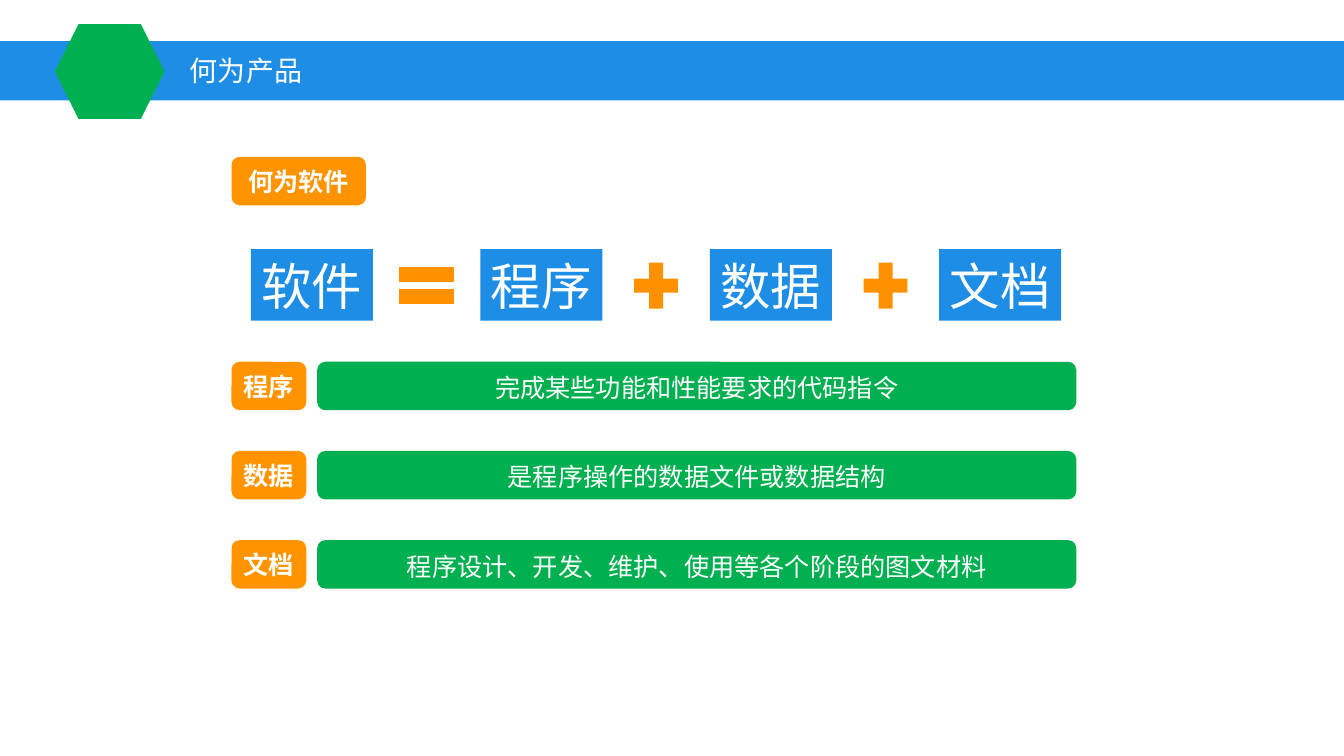
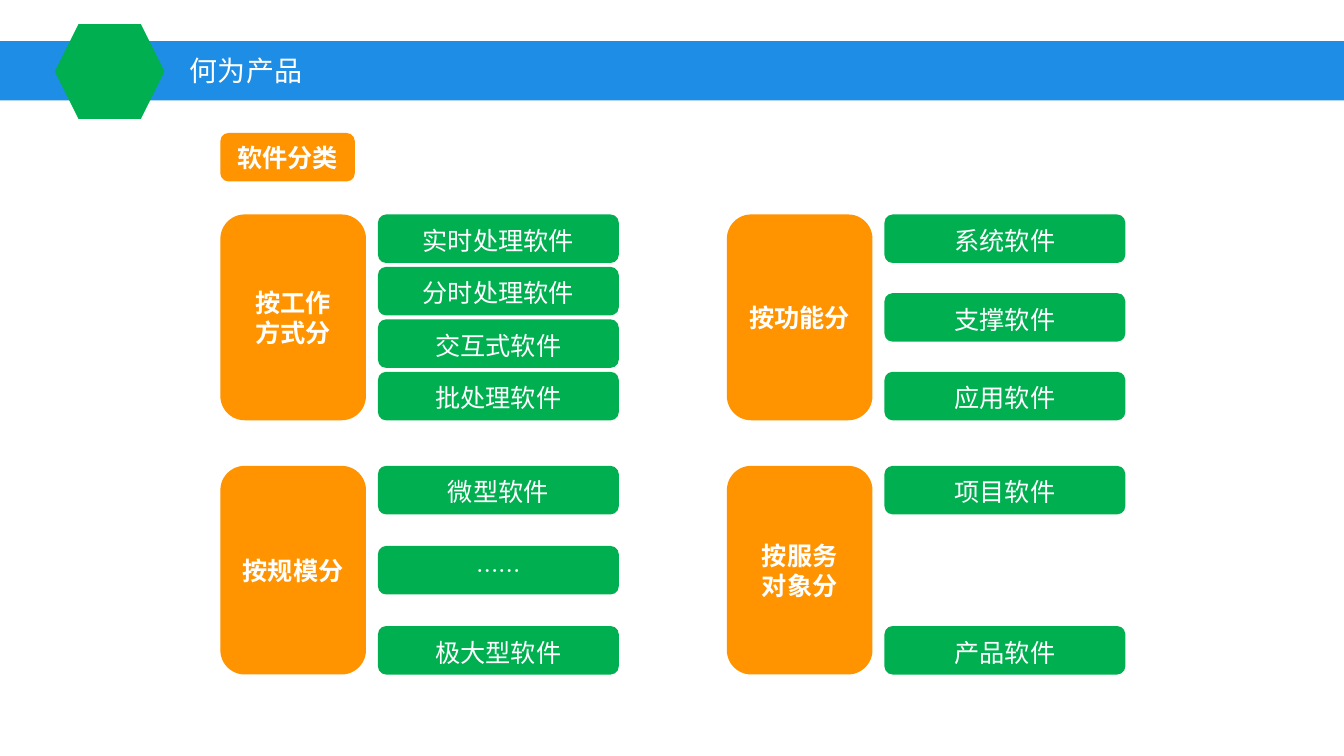
"""Build two slides that explain what software is and how it is classified."""
from lxml import etree
from pptx import Presentation
from pptx.dml.color import RGBColor
from pptx.enum.shapes import MSO_SHAPE
from pptx.enum.text import MSO_ANCHOR, PP_ALIGN
from pptx.oxml.ns import qn
from pptx.util import Pt

RECT = MSO_SHAPE.RECTANGLE
ROUNDED = MSO_SHAPE.ROUNDED_RECTANGLE
HEXAGON = MSO_SHAPE.HEXAGON
EQUAL = MSO_SHAPE.MATH_EQUAL
PLUS = MSO_SHAPE.MATH_PLUS
TOP, MIDDLE = MSO_ANCHOR.TOP, MSO_ANCHOR.MIDDLE
LEFT, CENTER = PP_ALIGN.LEFT, PP_ALIGN.CENTER

BLUE = RGBColor(0x1D, 0x8D, 0xE5)
GREEN = RGBColor(0x00, 0xB0, 0x50)
ORANGE = RGBColor(0xFF, 0x93, 0x00)
OPERATOR_ORANGE = RGBColor(0xFF, 0x91, 0x00)
WHITE = RGBColor(0xFF, 0xFF, 0xFF)
FONT = "Noto Sans CJK SC"

SLIDE_W, SLIDE_H = 960, 540
BAR_H = 34.6
HEADING_W = 96

TERMS = ["软件", "程序", "数据", "文档"]
OPERATORS = [(EQUAL, 53.3), (PLUS, 42.5), (PLUS, 42.5)]
DEFINITIONS = [
    ("程序", "完成某些功能和性能要求的代码指令"),
    ("数据", "是程序操作的数据文件或数据结构"),
    ("文档", "程序设计、开发、维护、使用等各个阶段的图文材料"),
]
CATEGORY_ROWS = [
    (153.2, 147, [
        ("按工作\n方式分", ["实时处理软件", "分时处理软件", "交互式软件", "批处理软件"]),
        ("按功能分", ["系统软件", "支撑软件", "应用软件"]),
    ]),
    (332.8, 149, [
        ("按规模分", ["微型软件", "……", "极大型软件"]),
        ("按服务\n对象分", ["项目软件", "产品软件"]),
    ]),
]


def add_block(slide, kind, left, top, width, height, fill):
    """Draw a filled preset shape without outline or shadow."""
    block = slide.shapes.add_shape(kind, Pt(left), Pt(top), Pt(width), Pt(height))
    block.shadow.inherit = False
    block.fill.solid()
    block.fill.fore_color.rgb = fill
    block.line.fill.background()
    return block


def write(block, text, size=18, bold=False, align=CENTER, anchor=MIDDLE, insets=(0, 0, 0, 0)):
    """Write white text, one paragraph per line."""
    frame = block.text_frame
    frame.word_wrap = True
    frame.vertical_anchor = anchor
    frame.margin_left, frame.margin_top, frame.margin_right, frame.margin_bottom = map(Pt, insets)
    for index, line in enumerate(text.split("\n")):
        paragraph = frame.add_paragraph() if index else frame.paragraphs[0]
        paragraph.text = line
        paragraph.alignment = align
        font = paragraph.font
        font.size, font.bold, font.name = Pt(size), bold, FONT
        font.color.rgb = WHITE
        defaults = paragraph._p.pPr.find(qn("a:defRPr"))
        etree.SubElement(defaults, qn("a:ea")).set("typeface", FONT)


def add_label(slide, left, top, width, height, text):
    """Draw an orange rounded label with bold text."""
    write(add_block(slide, ROUNDED, left, top, width, height, ORANGE), text, bold=True)


def add_bar(slide, left, top, width, text, size=18):
    """Draw a green rounded bar with text hung from its top."""
    bar = add_block(slide, ROUNDED, left, top, width, BAR_H, GREEN)
    write(bar, text, size, anchor=TOP, insets=(7.2, 6, 7.2, 0))


def add_titled_slide(prs, title):
    """Add a blank slide with the blue band, green hexagon and title."""
    slide = prs.slides.add_slide(prs.slide_layouts[6])
    add_block(slide, RECT, 0, 29.4, SLIDE_W, 42.4, BLUE)
    add_block(slide, HEXAGON, 39.2, 17.2, 78.4, 67.8, GREEN)
    heading = slide.shapes.add_textbox(Pt(128.6), Pt(34.8), Pt(402.5), Pt(31.5))
    write(heading, title, 20, align=LEFT, insets=(7.2, 3.6, 7.2, 3.6))
    return slide


def add_equation(slide, left, top):
    """Draw the terms at an even pitch with an operator centred in each gap."""
    term_w, term_h, pitch, operator_h = 87.2, 51, 163.9, 44.6
    for index, term in enumerate(TERMS):
        block = add_block(slide, RECT, left + index * pitch, top, term_w, term_h, BLUE)
        write(block, term, 36)
    for index, (kind, width) in enumerate(OPERATORS):
        middle = left + index * pitch + (term_w + pitch) / 2
        add_block(slide, kind, middle - width / 2, top + (term_h - operator_h) / 2 + 0.5,
                  width, operator_h, OPERATOR_ORANGE)


def add_category(slide, left, top, height, name, members):
    """Draw a category label and spread its members over its height."""
    add_label(slide, left, top, 104, height, name)
    pitch = (height - BAR_H) / (len(members) - 1)
    for index, member in enumerate(members):
        size = 16 if member == "……" else 18
        add_bar(slide, left + 112.6, top + index * pitch, 172, member, size)


def build_definition_slide(prs):
    """Show software as a sum of parts and define each part."""
    slide = add_titled_slide(prs, "何为产品")
    left = 165.4
    add_label(slide, left, 112, HEADING_W, BAR_H, "何为软件")
    add_equation(slide, 179.2, 178)
    for index, (term, meaning) in enumerate(DEFINITIONS):
        top = 258.4 + index * 63.7
        add_label(slide, left, top, 53.4, BAR_H, term)
        add_bar(slide, left + 61.2, top, 542.2, meaning)


def build_category_slide(prs):
    """Show the ways to classify software in a grid."""
    slide = add_titled_slide(prs, "何为产品")
    left = 157.4
    add_label(slide, left, 95, HEADING_W, BAR_H, "软件分类")
    for top, height, categories in CATEGORY_ROWS:
        for column, (name, members) in enumerate(categories):
            add_category(slide, left + column * 361.8, top, height, name, members)


def main():
    """Build and save the presentation."""
    prs = Presentation()
    prs.slide_width, prs.slide_height = Pt(SLIDE_W), Pt(SLIDE_H)
    build_definition_slide(prs)
    build_category_slide(prs)
    prs.save("out.pptx")


if __name__ == "__main__":
    main()
